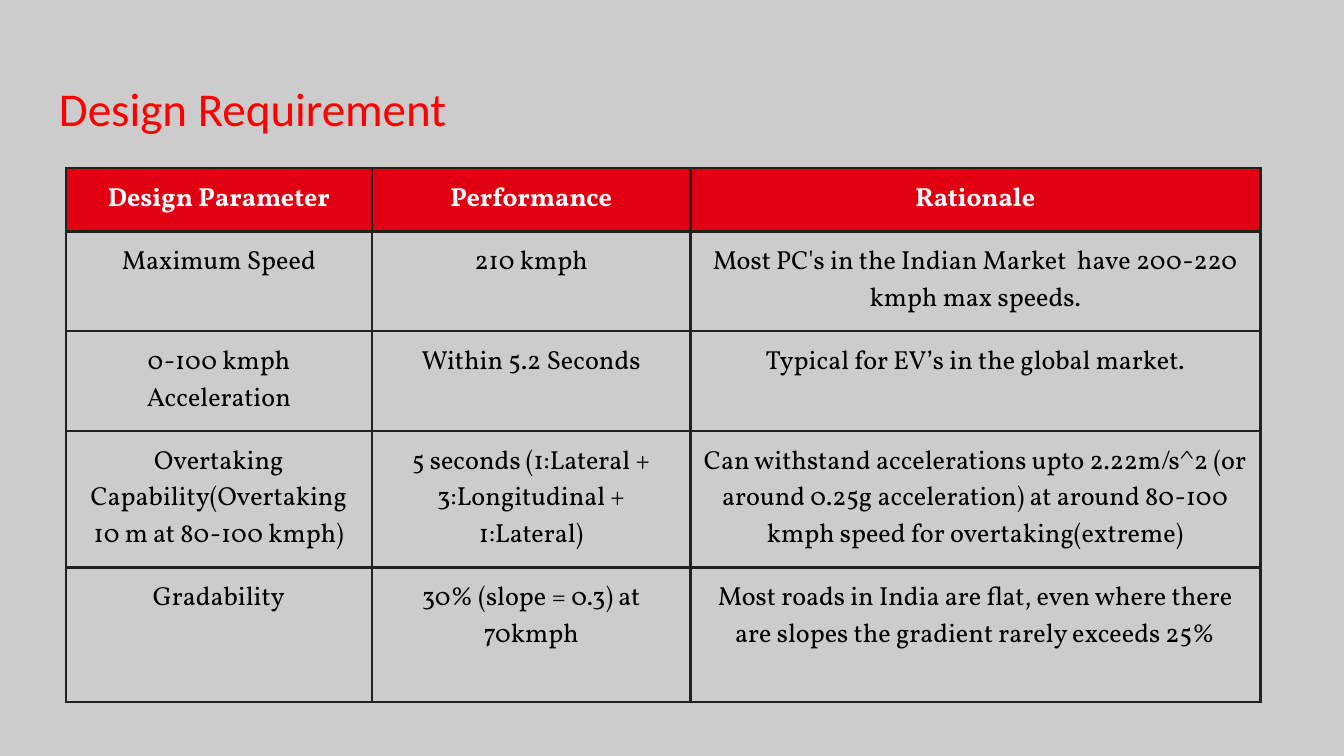
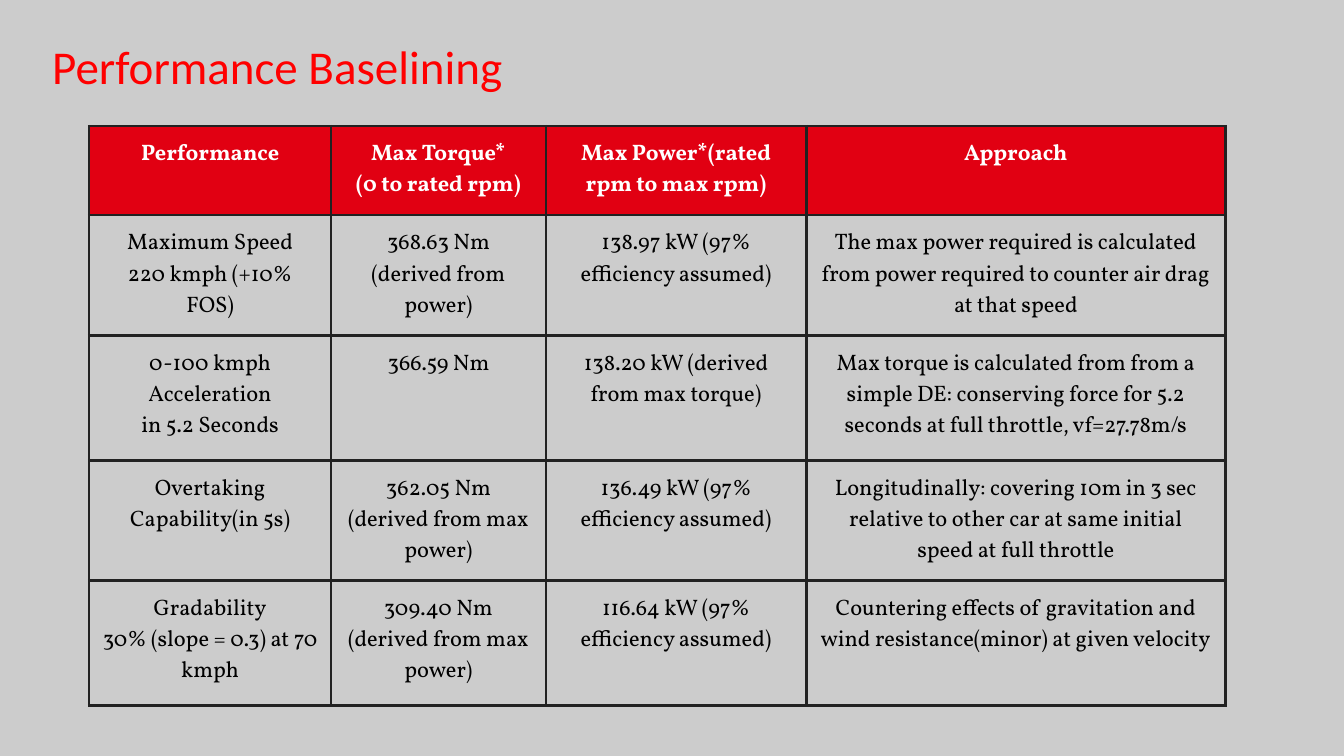
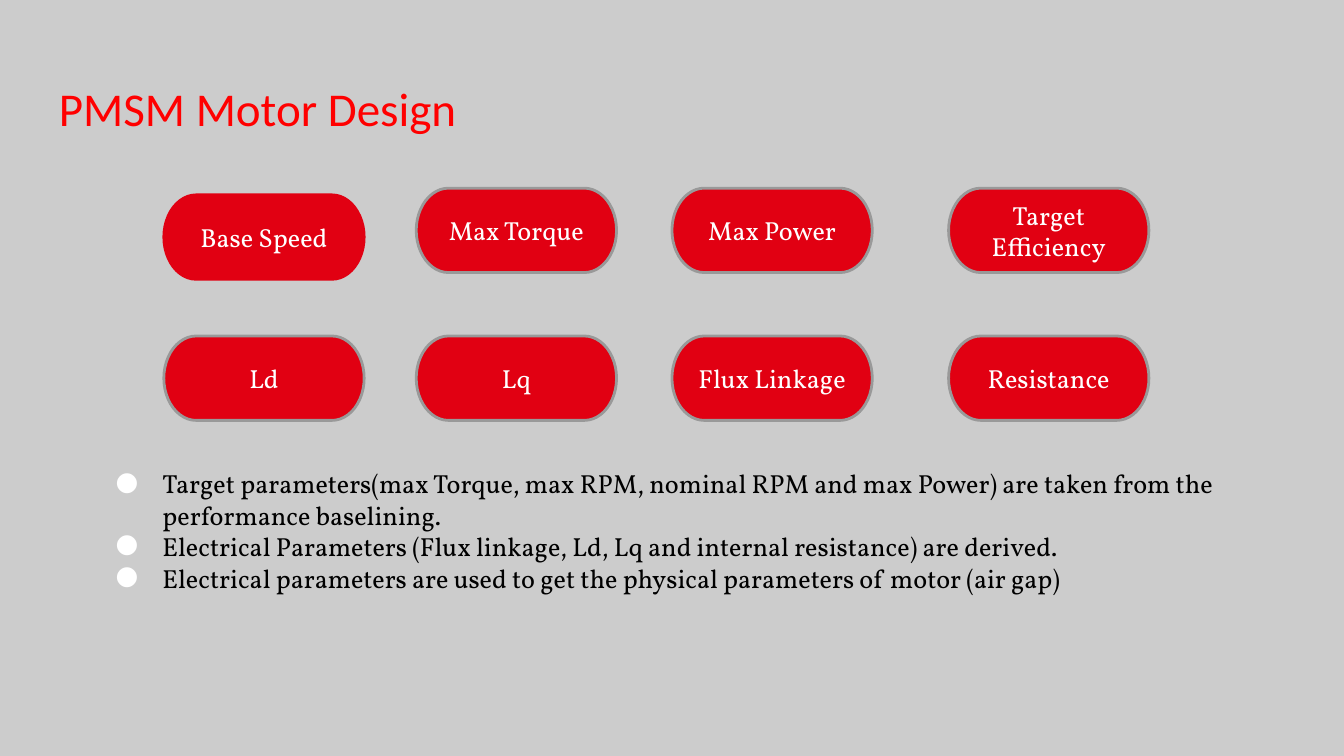
from pptx import Presentation
from pptx.dml.color import RGBColor
from pptx.enum.shapes import MSO_SHAPE
from pptx.enum.text import MSO_ANCHOR, PP_ALIGN
from pptx.util import Pt
from lxml.etree import SubElement
from pptx.oxml.ns import qn

RED, TITLE_RED, WHITE, BLACK = "E10012", "FF0000", "FFFFFF", "000000"
BACKGROUND, BORDER, OUTLINE = "CCCCCC", "212121", "999999"
TITLE_FONT, BODY_FONT = "Calibri", "Vollkorn"
INSET = 7.2
LINE_WIDTH = 1.5

REQUIREMENTS = [
    ["Design Parameter", "Performance", "Rationale"],
    ["Maximum Speed", "210 kmph",
     "Most PC's in the Indian Market  have 200-220 kmph max speeds."],
    ["0-100 kmph Acceleration", "Within 5.2 Seconds",
     "Typical for EV’s in the global market."],
    ["Overtaking Capability(Overtaking 10 m at 80-100 kmph)",
     "5 seconds (1:Lateral + 3:Longitudinal + 1:Lateral)",
     "Can withstand accelerations upto 2.22m/s^2 (or around 0.25g acceleration) "
     "at around 80-100 kmph speed for overtaking(extreme)"],
    ["Gradability", "30% (slope = 0.3) at 70kmph",
     "Most roads in India are flat, even where there are slopes "
     "the gradient rarely exceeds 25%"],
]

BASELINES = [
    ["Performance", "Max Torque*\n(0 to rated rpm)",
     "Max Power*(rated rpm to max rpm)", "Approach"],
    ["Maximum Speed\n220 kmph (+10% FOS)", "368.63 Nm (derived from power)",
     "138.97 kW (97% efficiency assumed)",
     "The max power required is calculated from power required "
     "to counter air drag at that speed"],
    ["0-100 kmph Acceleration\nin 5.2 Seconds", "366.59 Nm",
     "138.20 kW (derived from max torque)",
     "Max torque is calculated from from a simple DE: conserving force "
     "for 5.2 seconds at full throttle, vf=27.78m/s"],
    ["Overtaking Capability(in 5s)", "362.05 Nm (derived from max power)",
     "136.49 kW (97% efficiency assumed)",
     "Longitudinally: covering 10m in 3 sec relative to other car "
     "at same initial speed at full throttle"],
    ["Gradability\n30% (slope = 0.3) at 70 kmph", "309.40 Nm (derived from max power)",
     "116.64 kW (97% efficiency assumed)",
     "Countering effects of gravitation and wind resistance(minor) at given velocity"],
]

MOTOR_PARAMETERS = [
    ["Base Speed", "Max Torque", "Max Power", "Target Efficiency"],
    ["Ld", "Lq", "Flux Linkage", "Resistance"],
]

MOTOR_NOTES = (
    "Target parameters(max Torque, max RPM, nominal RPM and max Power) "
    "are taken from the performance baselining.\n"
    "Electrical Parameters (Flux linkage, Ld, Lq and internal resistance) are derived.\n"
    "Electrical parameters are used to get the physical parameters of motor (air gap)"
)


def color(value):
    return RGBColor.from_string(value)


def add_bullet(paragraph):
    properties = paragraph._p.get_or_add_pPr()
    properties.set("marL", str(Pt(36)))
    properties.set("indent", str(-Pt(25)))
    bullet_color = SubElement(properties, qn("a:buClr"))
    SubElement(bullet_color, qn("a:srgbClr"), val=WHITE)
    SubElement(properties, qn("a:buFont"), typeface=BODY_FONT)
    SubElement(properties, qn("a:buChar"), char="●")


def write_text(frame, text, *, size=14, font=BODY_FONT, fill=BLACK, bold=False,
               align=PP_ALIGN.LEFT, bullet=False, spacing=None):
    frame.word_wrap = True
    for index, line in enumerate(text.split("\n")):
        paragraph = frame.paragraphs[0] if index == 0 else frame.add_paragraph()
        paragraph.alignment = align
        if spacing:
            paragraph.line_spacing = spacing
        if bullet:
            add_bullet(paragraph)
        run = paragraph.add_run()
        run.text = line
        run.font.name = font
        run.font.size = Pt(size)
        run.font.bold = bold
        run.font.color.rgb = color(fill)


def set_insets(target):
    target.margin_left = target.margin_right = Pt(INSET)
    target.margin_top = target.margin_bottom = Pt(INSET)


def add_text_box(slide, box, text, **text_format):
    shape = slide.shapes.add_textbox(*map(Pt, box))
    set_insets(shape.text_frame)
    write_text(shape.text_frame, text, spacing=1.0, **text_format)


def add_slide(presentation, title, left, top):
    slide = presentation.slides.add_slide(presentation.slide_layouts[6])
    slide.background.fill.solid()
    slide.background.fill.fore_color.rgb = color(BACKGROUND)
    add_text_box(slide, (left, top, 671, 45.4), title,
                 size=25.2, font=TITLE_FONT, fill=TITLE_RED)
    return slide


def add_borders(cell):
    properties = cell._tc.get_or_add_tcPr()
    for side in ("a:lnL", "a:lnR", "a:lnT", "a:lnB"):
        line = SubElement(properties, qn(side), w=str(Pt(LINE_WIDTH)))
        line_fill = SubElement(line, qn("a:solidFill"))
        SubElement(line_fill, qn("a:srgbClr"), val=BORDER)


def add_data_table(slide, left, top, widths, heights, rows, size):
    table = slide.shapes.add_table(
        len(rows), len(widths), Pt(left), Pt(top),
        Pt(sum(widths)), Pt(sum(heights))).table
    table.first_row = table.horz_banding = False
    for column, width in zip(table.columns, widths):
        column.width = Pt(width)
    for row_index, (row, height) in enumerate(zip(table.rows, heights)):
        row.height = Pt(height)
        header = row_index == 0
        for cell, text in zip(row.cells, rows[row_index]):
            set_insets(cell)
            # Borders come before the fill in the cell properties
            add_borders(cell)
            if header:
                cell.fill.solid()
                cell.fill.fore_color.rgb = color(RED)
            else:
                cell.fill.background()
            write_text(cell.text_frame, text, size=size, bold=header,
                       fill=WHITE if header else BLACK, align=PP_ALIGN.CENTER)


def add_pill(slide, box, text, outline):
    shape = slide.shapes.add_shape(MSO_SHAPE.FLOWCHART_TERMINATOR, *map(Pt, box))
    shape.shadow.inherit = False
    shape.fill.solid()
    shape.fill.fore_color.rgb = color(RED)
    shape.line.color.rgb = color(outline)
    shape.line.width = Pt(LINE_WIDTH)
    set_insets(shape.text_frame)
    shape.text_frame.vertical_anchor = MSO_ANCHOR.MIDDLE
    write_text(shape.text_frame, text, fill=WHITE, align=PP_ALIGN.CENTER, spacing=1.0)


def add_pill_grid(slide, left, top):
    column_offsets = (0, 135.2, 272.2, 420.4)
    row_pitch = 79.2
    for row_index, labels in enumerate(MOTOR_PARAMETERS):
        for offset, label in zip(column_offsets, labels):
            # The first parameter sits a little lower, with a red outline
            leading = label == "Base Speed"
            box = (left + offset, top + row_index * row_pitch + (3.6 if leading else 0),
                   107.3, 45.2)
            add_pill(slide, box, label, RED if leading else OUTLINE)


def main():
    presentation = Presentation()
    presentation.slide_width, presentation.slide_height = Pt(720), Pt(405)

    # Design requirements
    slide = add_slide(presentation, "Design Requirement", 24.5, 35.3)
    add_data_table(slide, 35.3, 90, (164, 170.6, 305.3),
                   (34, 53.5, 53.5, 73, 72), REQUIREMENTS, 14)

    # Performance baselines
    slide = add_slide(presentation, "Performance Baselining", 20.9, 13)
    add_data_table(slide, 47.8, 67.5, (129.6, 115, 139.7, 224.4),
                   (47.8, 64.4, 67, 64.4, 67), BASELINES, 12)

    # Motor design
    slide = add_slide(presentation, "PMSM Motor Design", 24.5, 35.3)
    add_text_box(slide, (43.9, 243.4, 632.2, 82), MOTOR_NOTES, bullet=True)
    add_pill_grid(slide, 87.8, 100.8)

    presentation.save("out.pptx")


if __name__ == "__main__":
    main()
